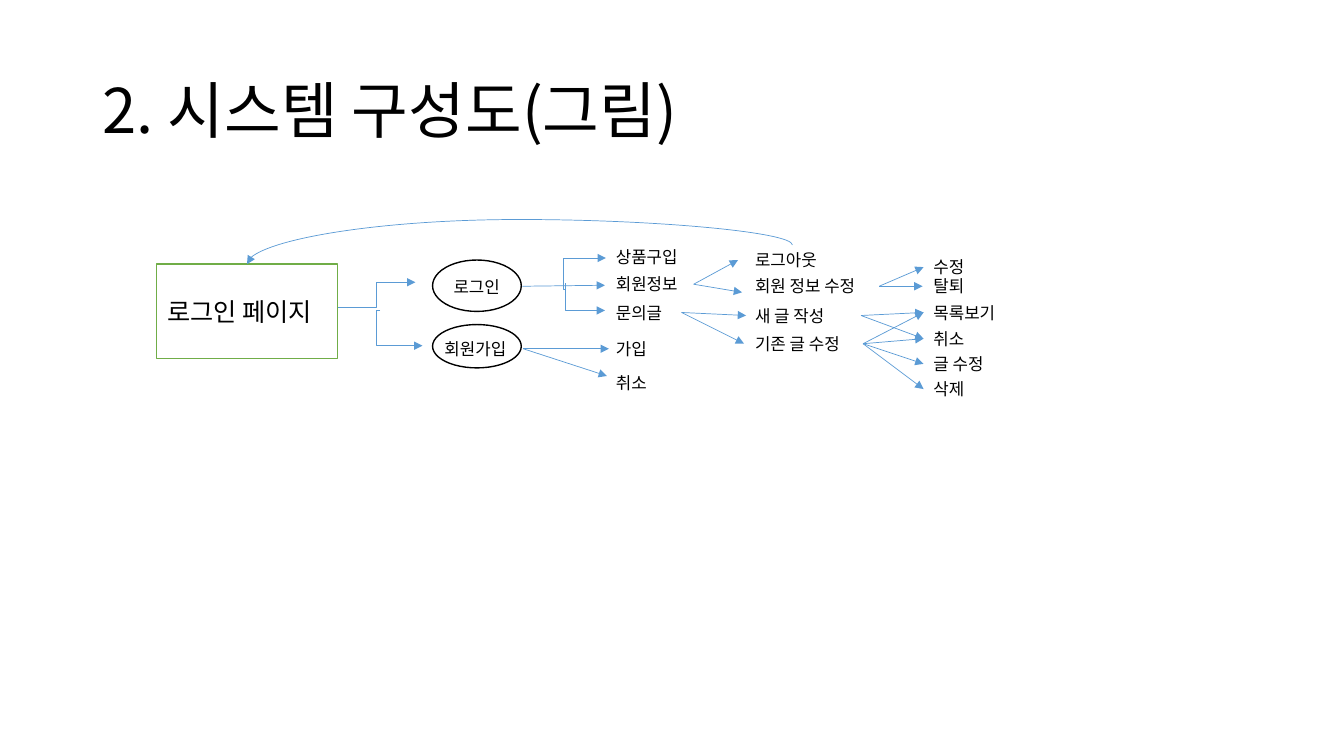
from lxml.etree import SubElement
from pptx import Presentation
from pptx.dml.color import RGBColor
from pptx.enum.shapes import MSO_CONNECTOR, MSO_SHAPE
from pptx.enum.text import MSO_ANCHOR, MSO_AUTO_SIZE
from pptx.oxml.ns import qn
from pptx.util import Inches, Pt

FONT = "Noto Sans CJK KR"
BLACK = RGBColor(0x00, 0x00, 0x00)
WHITE = RGBColor(0xFF, 0xFF, 0xFF)
GREEN = RGBColor(0x70, 0xAD, 0x47)
BLUE = RGBColor(0x5B, 0x9B, 0xD5)
ROW = 0.3  # height of one menu label

# Content
TITLE = "2. 시스템 구성도(그림)"
START = "로그인 페이지"

# Menu columns: left edge, then (label, top, width) per row
MENU = {
    "entry": (4.31, [("회원가입", 3.31, 0.88)]),
    "action": (6.01, [("상품구입", 2.4, 1.22), ("회원정보", 2.67, 0.87),
                      ("문의글", 2.95, 0.75), ("가입", 3.31, 0.64),
                      ("취소", 3.65, 0.65)]),
    "detail": (7.39, [("로그아웃", 2.43, 0.93), ("회원 정보 수정", 2.69, 1.33),
                      ("새 글 작성", 2.98, 1.15), ("기존 글 수정", 3.26, 1.17)]),
    "result": (9.16, [("수정", 2.5, 0.6), ("탈퇴", 2.69, 0.75),
                      ("목록보기", 2.95, 0.93), ("취소", 3.21, 0.68),
                      ("글 수정", 3.46, 0.89), ("삭제", 3.71, 0.62)]),
}

# Arrows: column, label, next column, {target label: shift of the arrow tip}
BRANCHES = [
    ("entry", "회원가입", "action", {"가입": (0.03, 0), "취소": (0.01, -0.07)}),
    ("action", "회원정보", "detail", {"로그아웃": (-0.07, 0),
                                  "회원 정보 수정": (-0.03, 0.06)}),
    ("action", "문의글", "detail", {"새 글 작성": (0.01, 0),
                                 "기존 글 수정": (-0.01, 0)}),
    ("detail", "회원 정보 수정", "result", {"수정": (0, 0), "탈퇴": (-0.01, 0)}),
    ("detail", "새 글 작성", "result", {"목록보기": (0, 0), "취소": (0, 0)}),
    ("detail", "기존 글 수정", "result", {"목록보기": (0, 0), "취소": (0, 0),
                                     "글 수정": (0, 0), "삭제": (0, 0)}),
]

# Elbow arrows: from, to, position of the bend as a share of the width
ELBOWS = [
    ((3.35, 3.05), (4.12, 2.8), 0.5),
    ((3.77, 3.08), (4.19, 3.43), -0.09),
    ((5.61, 2.87), (6.01, 2.56), -0.05),
    ((5.61, 2.81), (6.0, 3.08), -0.01),
]

# Boxes behind the labels: preset, left, top, width, height, outline
NODES = [
    (MSO_SHAPE.RECTANGLE, 1.55, 2.62, 1.8, 0.94, GREEN),
    (MSO_SHAPE.OVAL, 4.29, 2.58, 0.88, 0.51, BLACK),
    (MSO_SHAPE.OVAL, 4.29, 3.22, 0.88, 0.43, BLACK),
]

deck = Presentation()
deck.slide_width, deck.slide_height = Inches(13.33), Inches(7.5)
slide = deck.slides.add_slide(deck.slide_layouts[6])


def add_label(text, left, top, width, height=ROW, size=12,
              anchor=MSO_ANCHOR.TOP, spacing=None, grow=True):
    label = slide.shapes.add_textbox(*map(Inches, (left, top, width, height)))
    frame = label.text_frame
    frame.word_wrap = True
    frame.vertical_anchor = anchor
    frame.auto_size = MSO_AUTO_SIZE.SHAPE_TO_FIT_TEXT if grow else MSO_AUTO_SIZE.NONE
    paragraph = frame.paragraphs[0]
    if spacing:
        paragraph.line_spacing = spacing
    run = paragraph.add_run()
    run.text = text
    run.font.size, run.font.name = Pt(size), FONT
    run.font.color.rgb = BLACK
    for script in ("a:ea", "a:cs"):
        SubElement(run.font._element, qn(script), typeface=FONT)


def add_arrow(begin, end, kind=MSO_CONNECTOR.STRAIGHT, bend=None, turn=0):
    arrow = slide.shapes.add_connector(kind, *map(Inches, (*begin, *end)))
    arrow.line.color.rgb = BLUE
    arrow.line.width = Pt(0.5)
    properties = arrow._element.spPr
    SubElement(properties.find(qn("a:ln")), qn("a:tailEnd"), type="triangle")
    SubElement(properties, qn("a:effectLst"))
    if bend is not None:
        guides = properties.find(qn("a:prstGeom")).get_or_add_avLst()
        SubElement(guides, qn("a:gd"), name="adj1",
                   fmla=f"val {round(bend * 100000)}")
    if turn:
        properties.find(qn("a:xfrm")).set("rot", str(turn * 60000))


# Title
add_label(TITLE, 0.92, 0.4, 11.5, height=1.45, size=44,
          anchor=MSO_ANCHOR.MIDDLE, spacing=0.9, grow=False)

# Start page and entry nodes
for preset, left, top, width, height, outline in NODES:
    node = slide.shapes.add_shape(preset, *map(Inches, (left, top, width, height)))
    node.shadow.inherit = False
    node.fill.solid()
    node.fill.fore_color.rgb = WHITE
    node.line.color.rgb = outline
    node.line.width = Pt(1)
add_label(START, 1.56, 2.89, 1.79, height=0.4, size=18)
add_label("로그인", 4.4, 2.7, 1.04)

# Menu labels
places = {}
for column, (left, rows) in MENU.items():
    for text, top, width in rows:
        add_label(text, left, top, width)
        places[column, text] = (left, left + width, top + ROW / 2)

# Arrows from each label's right edge to the next labels' left edges
for column, text, next_column, targets in BRANCHES:
    _, right, middle = places[column, text]
    for target, (dx, dy) in targets.items():
        target_left, _, target_middle = places[next_column, target]
        add_arrow((right, middle), (target_left + dx, target_middle + dy))
add_arrow((5.18, 2.84), (6.0, 2.83))
for begin, end, bend in ELBOWS:
    add_arrow(begin, end, kind=MSO_CONNECTOR.ELBOW, bend=bend)

# Logout returns to the start page: a tall curve laid on its side
add_arrow((5.25, 5.23), (5.06, -0.18), kind=MSO_CONNECTOR.CURVE,
          bend=-1.33, turn=270)

deck.save("out.pptx")
